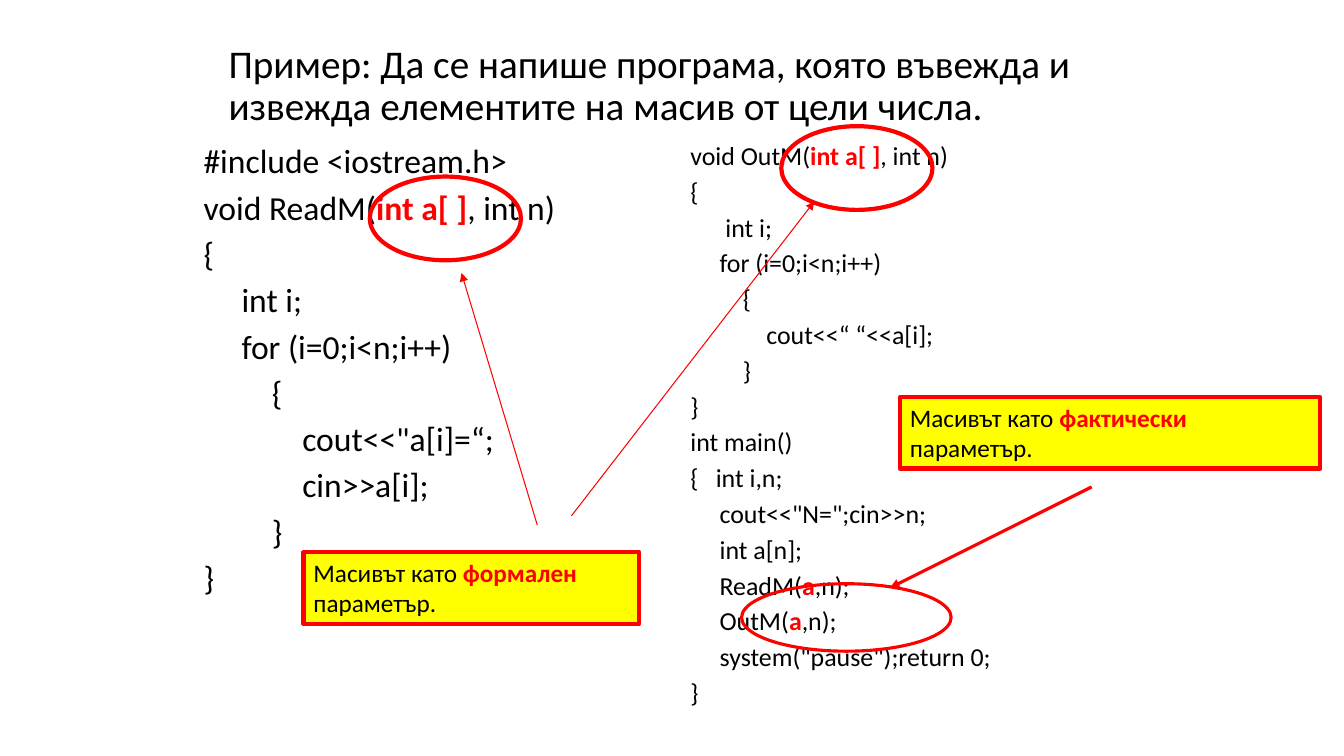
import pptx
import pptx.dml.color
import pptx.enum.shapes
import pptx.enum.text
import pptx.oxml.ns
import pptx.util
from lxml import etree

Cm, Pt = pptx.util.Cm, pptx.util.Pt
SHAPES = pptx.enum.shapes.MSO_SHAPE
ANCHOR = pptx.enum.text.MSO_ANCHOR
COLORS = {"text": "000000", "accent": "FF0000", "note": "FFFF00"}
FONT = "Calibri"
MARK = "|"  # encloses words set in bold accent colour

TITLE = "Пример: Да се напише програма, която въвежда и извежда елементите на масив от цели числа."

READ_CODE = """#include <iostream.h>
void ReadM(|int a[ ]|, int n)
{
     int i;
     for (i=0;i<n;i++)
         {
             cout<<"a[i]=“;
             cin>>a[i];
         }
}"""

OUT_CODE = """void OutM(|int a[ ]|, int n)
{
      int i;
     for (i=0;i<n;i++)
         {
             cout<<“ “<<a[i];
         }
}
int main()
{\tint i,n;
     cout<<"N=";cin>>n;
     int a[n];
     ReadM(|a|,n);
     OutM(|a|,n);
     system("pause");return 0;
}"""


def rgb(name):
    return pptx.dml.color.RGBColor.from_string(COLORS[name])


def box(left, top, width, height):
    return Cm(left), Cm(top), Cm(width), Cm(height)


def write_marked(paragraph, text, size):
    """Add the text as runs, highlighting the parts between marks."""
    for index, part in enumerate(text.split(MARK)):
        highlighted = index % 2 == 1
        run = paragraph.add_run()
        run.text = part
        run.font.name = FONT
        run.font.size = Pt(size)
        run.font.bold = highlighted
        run.font.color.rgb = rgb("accent" if highlighted else "text")


def add_title(slide, text, place):
    frame = slide.shapes.add_textbox(*box(*place)).text_frame
    frame.word_wrap = True
    frame.vertical_anchor = ANCHOR.MIDDLE
    frame.paragraphs[0].line_spacing = 0.9
    write_marked(frame.paragraphs[0], text, 28)


def add_code(slide, code, place, size, line_spacing):
    frame = slide.shapes.add_textbox(*box(*place)).text_frame
    frame.word_wrap = True
    for index, line in enumerate(code.split("\n")):
        paragraph = frame.add_paragraph() if index else frame.paragraphs[0]
        properties = paragraph._p.get_or_add_pPr()
        properties.set("marL", str(Cm(0.64)))
        properties.set("indent", str(-Cm(0.64)))
        paragraph.line_spacing = line_spacing
        paragraph.space_before = Pt(10 if index else 0)
        write_marked(paragraph, line, size)


def add_outlined(slide, kind, place, weight):
    outlined = slide.shapes.add_shape(kind, *box(*place))
    outlined.shadow.inherit = False
    outlined.fill.background()
    outlined.line.color.rgb = rgb("accent")
    outlined.line.width = Pt(weight)
    return outlined


def add_ring(slide, place, weight):
    add_outlined(slide, SHAPES.OVAL, place, weight)


def add_note(slide, text, place):
    note = add_outlined(slide, SHAPES.RECTANGLE, place, 3)
    note.fill.solid()
    note.fill.fore_color.rgb = rgb("note")
    frame = note.text_frame
    frame.word_wrap = True
    frame.vertical_anchor = ANCHOR.TOP
    frame.paragraphs[0].alignment = pptx.enum.text.PP_ALIGN.LEFT
    write_marked(frame.paragraphs[0], text, 18)


def add_arrow(slide, start, end, weight):
    arrow = slide.shapes.add_connector(
        pptx.enum.shapes.MSO_CONNECTOR.STRAIGHT, *box(*start, *end))
    arrow.line.color.rgb = rgb("accent")
    arrow.line.width = Pt(weight)
    qn = pptx.oxml.ns.qn
    etree.SubElement(arrow.line._get_or_add_ln(), qn("a:tailEnd"), type="triangle")
    etree.SubElement(arrow._element.spPr, qn("a:effectLst"))


def main():
    deck = pptx.Presentation()
    deck.slide_width, deck.slide_height = Cm(33.87), Cm(19.05)
    slide = deck.slides.add_slide(deck.slide_layouts[6])

    add_title(slide, TITLE, (5.51, 0.76, 23.5, 2.84))
    add_code(slide, READ_CODE, (4.88, 3.61, 11, 12.57), 24, 0.8)
    add_code(slide, OUT_CODE, (17.15, 3.61, 11.63, 14.61), 18.5, 0.7)

    add_ring(slide, (9.32, 4.45, 3.81, 2.11), 3)
    add_arrow(slide, (13.54, 13.23), (11.63, 6.88), 0.75)
    add_note(slide, "Масивът като |формален| параметър.", (7.65, 13.92, 8.46, 1.8))

    add_ring(slide, (18.69, 14.71, 5.28, 1.7), 2.25)
    add_note(slide, "Масивът като |фактически| параметър.", (22.68, 10.01, 10.59, 1.8))
    add_arrow(slide, (27.51, 12.27), (22.43, 14.81), 2.25)

    add_ring(slide, (19.69, 3.18, 3.81, 2.11), 3)
    add_arrow(slide, (14.4, 13), (20.52, 5.08), 0.75)

    deck.save("out.pptx")


if __name__ == "__main__":
    main()
